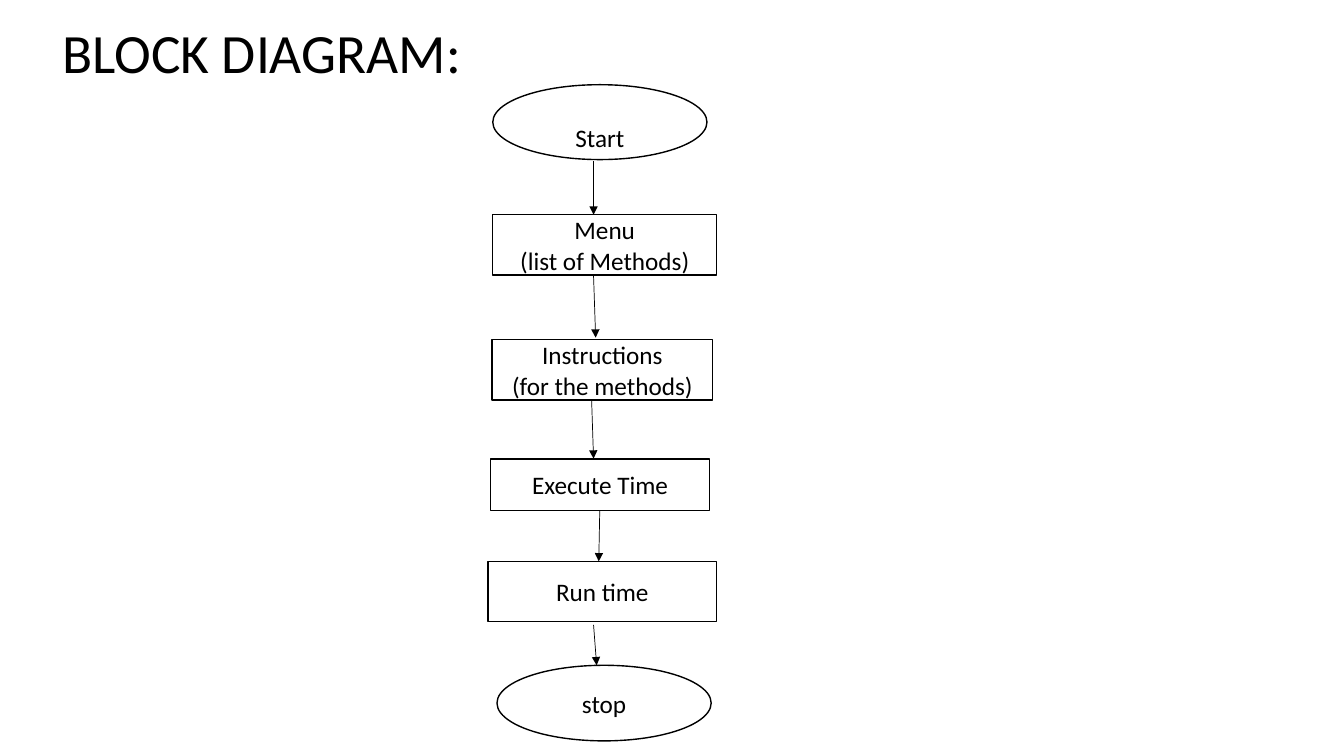
from pptx import Presentation
from pptx.dml.color import RGBColor
from pptx.enum.shapes import MSO_CONNECTOR, MSO_SHAPE
from pptx.enum.text import MSO_ANCHOR, PP_ALIGN
from pptx.oxml.ns import qn
from pptx.util import Pt
from lxml.etree import SubElement

COLOURS = {"ink": "000000", "paper": "FFFFFF"}
FONT = "Calibri"

# Shape, left, top, width, height, lines of text, top inset
STEPS = [
    (MSO_SHAPE.OVAL, 352, 60.5, 153, 53.5, ["Start"], 22),
    (MSO_SHAPE.RECTANGLE, 352, 153.4, 160, 43.2, ["Menu", "(list of Methods)"], 3.6),
    (MSO_SHAPE.RECTANGLE, 351.4, 242.6, 157.7, 43.2, ["Instructions", "(for the methods)"], 3.6),
    (MSO_SHAPE.RECTANGLE, 350.6, 327.8, 156.2, 37, ["Execute Time"], 3.6),
    (MSO_SHAPE.RECTANGLE, 348.5, 401, 163.5, 43.2, ["Run time"], 3.6),
    (MSO_SHAPE.OVAL, 355, 475.2, 153, 54, ["stop"], 3.6),
]

# Start x, start y, end x, end y
ARROWS = [
    (424, 115.2, 424, 153.4),
    (424, 197.3, 425.5, 241.2),
    (422.6, 285.8, 424, 327.6),
    (428.4, 365, 427.7, 401),
    (424, 446.4, 426.2, 475.2),
]


def colour(name):
    return RGBColor.from_string(COLOURS[name])


def set_format(target, values):
    for name, value in values.items():
        setattr(target, name, value)


class Flowchart:
    def __init__(self, page):
        self.page = page

    def add_lines(self, frame, lines, size, align, top_inset=3.6):
        set_format(frame, {
            "word_wrap": True,
            "vertical_anchor": MSO_ANCHOR.MIDDLE,
            "margin_top": Pt(top_inset),
            "margin_bottom": Pt(3.6 if top_inset == 3.6 else 0),
        })
        for index, line in enumerate(lines):
            para = frame.paragraphs[0] if index == 0 else frame.add_paragraph()
            para.alignment = align
            span = para.add_run()
            span.text = line
            set_format(span.font, {"name": FONT, "size": Pt(size)})
            span.font.color.rgb = colour("ink")

    def title(self, left, top, width, height, text):
        box = self.page.shapes.add_textbox(Pt(left), Pt(top), Pt(width), Pt(height))
        self.add_lines(box.text_frame, [text], 39.6, PP_ALIGN.LEFT)

    def step(self, kind, left, top, width, height, lines, top_inset):
        shape = self.page.shapes.add_shape(kind, Pt(left), Pt(top), Pt(width), Pt(height))
        shape.shadow.inherit = False
        shape.fill.solid()
        shape.fill.fore_color.rgb = colour("paper")
        shape.line.color.rgb = colour("ink")
        shape.line.width = Pt(1)
        self.add_lines(shape.text_frame, lines, 18, PP_ALIGN.CENTER, top_inset)

    def arrow(self, *ends):
        connector = self.page.shapes.add_connector(MSO_CONNECTOR.STRAIGHT, *map(Pt, ends))
        connector.line.color.rgb = colour("ink")
        connector.line.width = Pt(0.5)
        properties = connector.element.spPr
        SubElement(properties.get_or_add_ln(), qn("a:tailEnd"), type="triangle")
        SubElement(properties, qn("a:effectLst"))


def main():
    deck = Presentation()
    set_format(deck, {"slide_width": Pt(960), "slide_height": Pt(540)})
    chart = Flowchart(deck.slides.add_slide(deck.slide_layouts[6]))
    chart.title(37.4, 11, 336, 52, "BLOCK DIAGRAM:")
    for step in STEPS:
        chart.step(*step)
    for ends in ARROWS:
        chart.arrow(*ends)
    deck.save("out.pptx")


if __name__ == "__main__":
    main()
